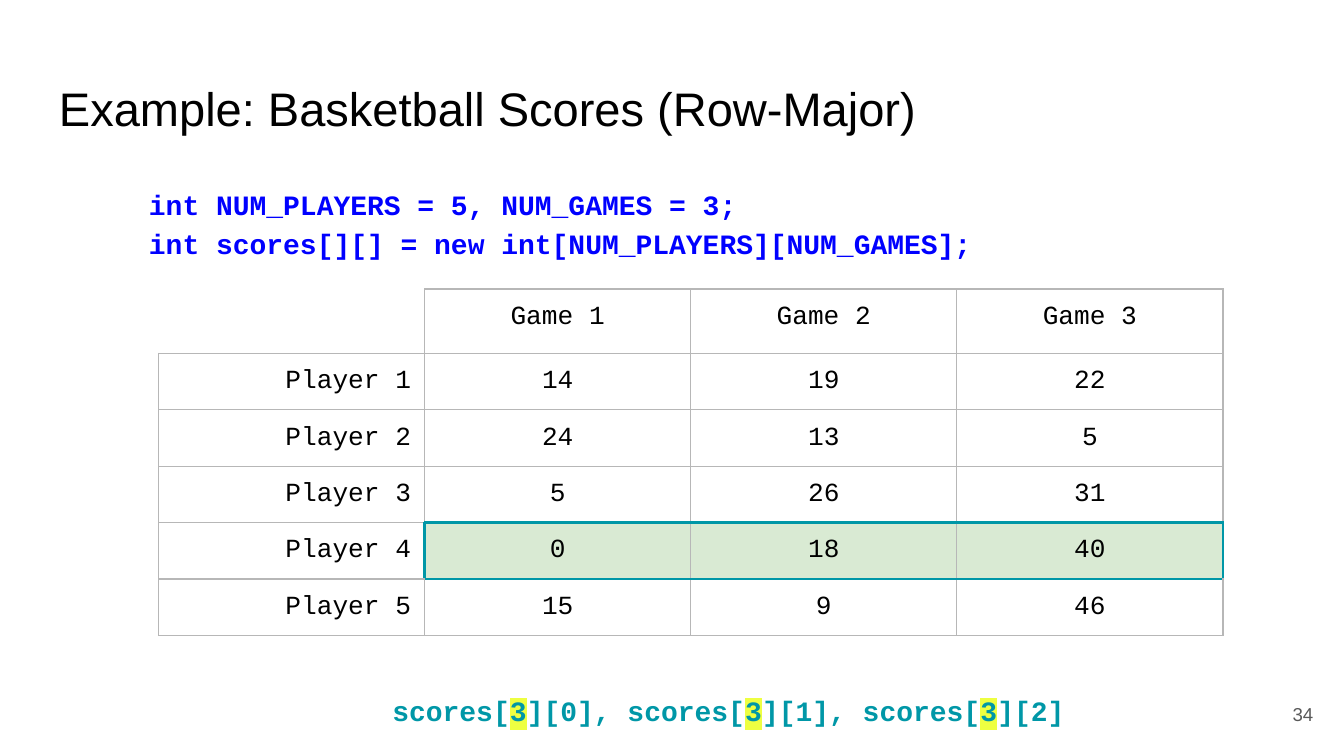
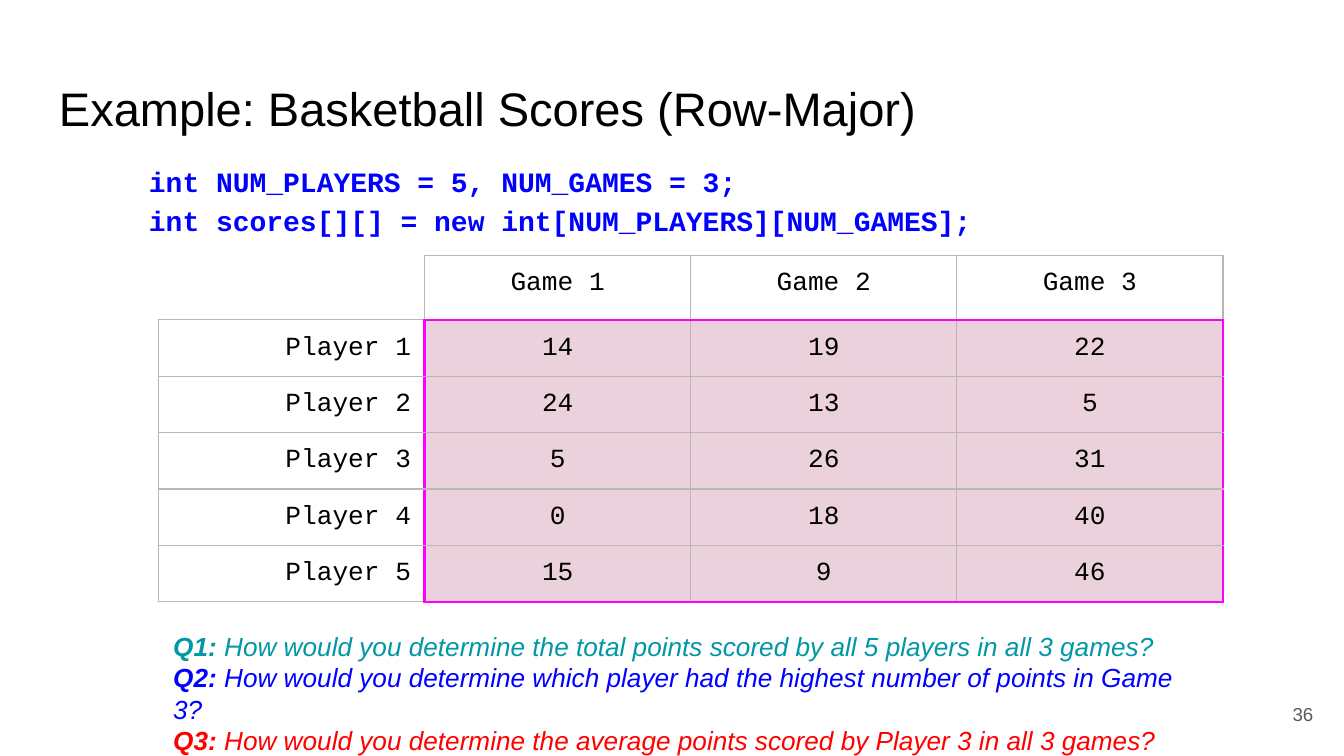
import pptx
import pptx.dml.color
import pptx.enum.text
import pptx.oxml
import pptx.oxml.ns
import pptx.util
from lxml import etree

Inches = pptx.util.Inches
Pt = pptx.util.Pt
qn = pptx.oxml.ns.qn
ALIGN = pptx.enum.text.PP_ALIGN
ANCHOR = pptx.enum.text.MSO_ANCHOR

COLORS = {
    "black": "000000", "number": "595959", "blue": "0000FF", "red": "FF0000",
    "teal": "0097A7", "magenta": "FF00FF", "marker": "EEFF41",
    "grid": "B7B7B7", "white": "FFFFFF", "green": "D9EAD3", "pink": "EAD1DC",
}
MARGIN = Inches(0.1)
TITLE = {"size": Pt(25.2), "name": "Arial", "color": "black"}
CODE = {"size": Pt(15), "name": "Courier New", "color": "blue", "bold": True}
CELL = {"size": Pt(14), "name": "Courier New", "color": "black"}
NUMBER = {"size": Pt(10), "name": "Arial", "color": "number"}
QUESTION = {"size": Pt(14), "name": "Arial", "italic": True}

TITLE_TEXT = "Example: Basketball Scores (Row-Major)"
DECLARATION = ("int NUM_PLAYERS = 5, NUM_GAMES = 3;\v"
               "int scores[][] = new int[NUM_PLAYERS][NUM_GAMES];")
SCORES = [[14, 19, 22], [24, 13, 5], [5, 26, 31], [0, 18, 40], [15, 9, 46]]
QUESTIONS = [
    ("Q1: ", "How would you determine the total points scored by all 5 players in all 3 games?", "teal"),
    ("Q2: ", "How would you determine which player had the highest number of points in Game 3?", "blue"),
    ("Q3: ", "How would you determine the average points scored by Player 3 in all 3 games?", "red"),
]


def rgb(name):
    return pptx.dml.color.RGBColor.from_string(COLORS[name])


def set_values(target, values):
    for name, value in values.items():
        setattr(target, name, value)


def add_span(para, text, style, marker=None):
    """Add text in a style; a line break in it starts a new line."""
    for index, line in enumerate(text.split("\v")):
        if index:
            para.add_line_break()
        span = para.add_run()
        span.text = line
        set_values(span.font, {k: v for k, v in style.items() if k != "color"})
        span.font.color.rgb = rgb(style["color"])
        if marker:
            properties = span.font._element
            highlight = etree.Element(qn("a:highlight"))
            etree.SubElement(highlight, qn("a:srgbClr"), val=COLORS[marker])
            properties.find(qn("a:solidFill")).addnext(highlight)


def add_box(page, left, top, width, height, **frame_values):
    box = page.shapes.add_textbox(*map(Inches, (left, top, width, height)))
    frame = box.text_frame
    set_values(frame, {"word_wrap": True, "margin_left": MARGIN, "margin_right": MARGIN,
                       "margin_top": MARGIN, "margin_bottom": MARGIN, **frame_values})
    return frame


def add_code(page, top, height, pieces, align=ALIGN.LEFT):
    """Add indented code from (text, style, marker) pieces."""
    para = add_box(page, 0.51, top, 9.32, height).paragraphs[0]
    para._p.get_or_add_pPr().set("marL", str(Inches(0.5)))
    set_values(para, {"alignment": align, "line_spacing": 1.15})
    for piece in pieces:
        add_span(para, *piece)


def set_border(cell, side, color, width):
    properties = cell._tc.get_or_add_tcPr()
    line = etree.SubElement(properties, qn("a:ln" + side), w=str(Pt(width)))
    fill = etree.SubElement(line, qn("a:solidFill"))
    etree.SubElement(fill, qn("a:srgbClr"), val=COLORS[color])


def add_scores(page, top, marked_rows, fill, accent):
    """Add the score table with the scores in marked_rows filled and outlined."""
    rows = [["", "Game 1", "Game 2", "Game 3"]]
    rows += [[f"Player {n}", *scores] for n, scores in enumerate(SCORES, 1)]
    table = page.shapes.add_table(len(rows), len(rows[0]), Inches(1.18), Inches(top),
                                  Inches(7.92), Inches(2.58)).table
    set_values(table, {"first_row": False, "horz_banding": False})
    for column in table.columns:
        column.width = Inches(1.98)
    for index, row in enumerate(table.rows):
        row.height = Inches(0.42 if index else 0.48)

    def is_marked(row, column):
        return row in marked_rows and 1 <= column <= 3

    sides = {"L": (0, -1), "R": (0, 1), "T": (-1, 0), "B": (1, 0)}
    for r, values in enumerate(rows):
        for c, value in enumerate(values):
            cell = table.cell(r, c)
            # A small bottom margin keeps the text from stretching the row
            set_values(cell, {"margin_left": MARGIN, "margin_right": MARGIN,
                              "margin_top": MARGIN, "margin_bottom": Inches(0.05)})
            if value != "":
                para = cell.text_frame.paragraphs[0]
                para.alignment = ALIGN.CENTER if c else ALIGN.RIGHT
                add_span(para, str(value), CELL)
            # Borders come before the fill in the cell properties
            for side, (down, across) in sides.items():
                if is_marked(r, c) != is_marked(r + down, c + across):
                    set_border(cell, side, accent, 1.5)
                else:
                    corner = r == c == 0 and side in "LT"
                    set_border(cell, side, "white" if corner else "grid", 0.75)
            if is_marked(r, c):
                cell.fill.solid()
                cell.fill.fore_color.rgb = rgb(fill)
            else:
                cell.fill.background()


def add_questions(page):
    frame = add_box(page, 1.19, 4.59, 7.88, 0.91,
                    auto_size=pptx.enum.text.MSO_AUTO_SIZE.SHAPE_TO_FIT_TEXT)
    for index, (label, question, color) in enumerate(QUESTIONS):
        para = frame.add_paragraph() if index else frame.paragraphs[0]
        style = {**QUESTION, "color": color}
        add_span(para, label, {**style, "bold": True})
        add_span(para, question, style)


def add_page(deck, number, code_top):
    """Add a slide with the shared title, declaration and number."""
    page = deck.slides.add_slide(deck.slide_layouts[6])
    page.background.fill.solid()
    page.background.fill.fore_color.rgb = rgb("white")
    add_code(page, code_top, 0.8, [(DECLARATION, CODE)])
    add_span(add_box(page, 0.34, 0.49, 9.32, 0.63).paragraphs[0], TITLE_TEXT, TITLE)
    para = add_box(page, 9.27, 5.1, 0.6, 0.43, vertical_anchor=ANCHOR.MIDDLE).paragraphs[0]
    para.alignment = ALIGN.RIGHT
    add_span(para, str(number), NUMBER)
    return page


def main():
    deck = pptx.Presentation()
    # A 16:9 page
    set_values(deck, {"slide_width": Inches(10), "slide_height": Inches(10) * 9 // 16})

    # One row: the scores of player 4
    page = add_page(deck, 34, 1.26)
    add_scores(page, 2.15, [4], "green", "teal")
    access = {**CODE, "color": "teal"}
    pieces = []
    for game in range(3):
        pieces += [("scores[" if game == 0 else ", scores[", access),
                   ("3", access, "marker"), (f"][{game}]", access)]
    add_code(page, 5.02, 0.5, pieces, ALIGN.CENTER)

    # All rows, with questions
    page = add_page(deck, 36, 1.09)
    add_scores(page, 1.9, range(1, 6), "pink", "magenta")
    add_questions(page)

    deck.save("out.pptx")


if __name__ == "__main__":
    main()
